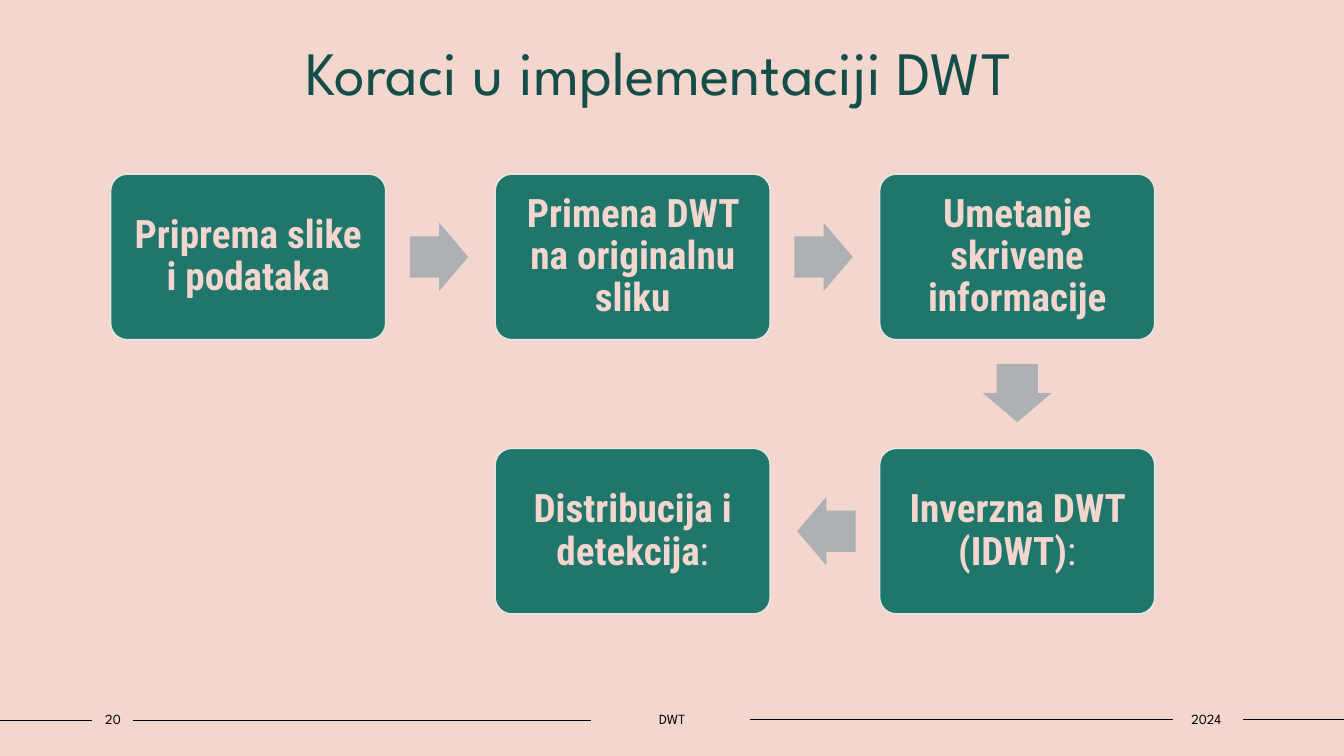
from dataclasses import dataclass

import pptx
import pptx.dml.color
import pptx.enum.shapes
import pptx.enum.text
import pptx.oxml
import pptx.oxml.ns
import pptx.presentation
import pptx.shapes.autoshape
import pptx.slide
import pptx.text.text
import pptx.util
from pptx.dml.color import RGBColor
from pptx.enum.shapes import MSO_CONNECTOR, MSO_SHAPE
from pptx.enum.text import MSO_ANCHOR, PP_ALIGN
from pptx.util import Cm

BLUSH = RGBColor(0xF3, 0xD6, 0xCD)
GREEN = RGBColor(0x20, 0x76, 0x6B)
DARK_GREEN = RGBColor(0x15, 0x4E, 0x48)
GREY = RGBColor(0xAD, 0xB1, 0xB3)
LIGHT_GREY = RGBColor(0xE7, 0xE6, 0xE6)
BLACK = RGBColor(0, 0, 0)

TITLE_FONT = "League Spartan"
STEP_FONT = "Roboto Condensed"

STEP_LEFT, STEP_TOP = 2.79, 4.39
STEP_WIDTH, STEP_HEIGHT = 6.93, 4.17
COLUMN_PITCH, ROW_PITCH = 9.69, 6.91
ARROW_LENGTH, ARROW_BREADTH, ARROW_GAP = 1.47, 1.73, 0.61


@dataclass(frozen=True)
class Step:
    column: int
    row: int
    text: str
    suffix: str = ""

    @property
    def left(self) -> float:
        return STEP_LEFT + self.column * COLUMN_PITCH

    @property
    def top(self) -> float:
        return STEP_TOP + self.row * ROW_PITCH


@dataclass(frozen=True)
class Label:
    text: str
    left: float
    top: float
    width: float
    height: float
    size: int
    color: RGBColor
    anchor: MSO_ANCHOR
    side_margin: float


@dataclass(frozen=True)
class Rule:
    start: float
    end: float
    y: float


STEPS = [
    Step(0, 0, "Priprema slike i podataka"),
    Step(1, 0, "Primena DWT na originalnu sliku"),
    Step(2, 0, "Umetanje skrivene informacije"),
    Step(2, 1, "Inverzna DWT (IDWT)", ":"),
    Step(1, 1, "Distribucija i detekcija", ":"),
]

FOOTER_RULES = [
    Rule(0, 2.33, 18.15),
    Rule(3.35, 14.9, 18.15),
    Rule(18.9, 29.57, 18.13),
    Rule(31.32, 33.87, 18.13),
]

LABELS = [
    Label("Koraci u implementaciji DWT", 2.84, 0.74, 27.53, 2.82, 44,
          DARK_GREEN, MSO_ANCHOR.TOP, 0.25),
] + [
    Label(text, left, 17.78, width, 0.69, 10, BLACK, MSO_ANCHOR.MIDDLE, 0)
    for text, left, width in [
        ("20", 2.34, 1.02), ("DWT", 14.91, 4.06), ("2024", 29.51, 1.78)]
]


def apply_format(target: object, values: dict[str, object]) -> None:
    for name, value in values.items():
        setattr(target, name, value)


def add_run(paragraph: pptx.text.text._Paragraph, text: str, font: str,
            size: int, color: RGBColor, bold: bool = False) -> None:
    run = paragraph.add_run()
    run.text = text
    apply_format(run.font, {"name": font, "size": pptx.util.Pt(size), "bold": bold})
    run.font.color.rgb = color


def add_label(slide: pptx.slide.Slide, label: Label) -> None:
    box = slide.shapes.add_textbox(
        Cm(label.left), Cm(label.top), Cm(label.width), Cm(label.height))
    apply_format(box.text_frame, {
        "word_wrap": True,
        "vertical_anchor": label.anchor,
        "margin_left": Cm(label.side_margin),
        "margin_right": Cm(label.side_margin),
    })
    paragraph = box.text_frame.paragraphs[0]
    paragraph.alignment = PP_ALIGN.CENTER
    add_run(paragraph, label.text, TITLE_FONT, label.size, label.color)


def add_rule(slide: pptx.slide.Slide, rule: Rule) -> None:
    connector = slide.shapes.add_connector(
        MSO_CONNECTOR.STRAIGHT, Cm(rule.start), Cm(rule.y), Cm(rule.end), Cm(rule.y))
    connector.line.color.rgb = BLACK
    connector.line.width = pptx.util.Pt(1)
    properties = connector._element.spPr
    properties.append(pptx.oxml.parse_xml(
        f'<a:effectLst {pptx.oxml.ns.nsdecls("a")}/>'))


def add_filled_shape(slide: pptx.slide.Slide, kind: MSO_SHAPE, left: float,
                     top: float, width: float, height: float,
                     fill: RGBColor) -> pptx.shapes.autoshape.Shape:
    shape = slide.shapes.add_shape(kind, Cm(left), Cm(top), Cm(width), Cm(height))
    shape.shadow.inherit = False
    shape.fill.solid()
    shape.fill.fore_color.rgb = fill
    return shape


def add_step(slide: pptx.slide.Slide, step: Step) -> None:
    shape = add_filled_shape(slide, MSO_SHAPE.ROUNDED_RECTANGLE, step.left, step.top,
                             STEP_WIDTH, STEP_HEIGHT, GREEN)
    shape.adjustments[0] = 0.1
    shape.line.color.rgb = LIGHT_GREY
    shape.line.width = pptx.util.Pt(1)
    margins = {f"margin_{side}": Cm(0.3) for side in ("left", "right", "top", "bottom")}
    apply_format(shape.text_frame, {
        "word_wrap": True, "vertical_anchor": MSO_ANCHOR.MIDDLE, **margins})
    paragraph = shape.text_frame.paragraphs[0]
    apply_format(paragraph, {"alignment": PP_ALIGN.CENTER, "line_spacing": 0.9})
    add_run(paragraph, step.text, STEP_FONT, 28, BLUSH, True)
    if step.suffix:
        add_run(paragraph, step.suffix, STEP_FONT, 28, BLUSH)


def add_arrow(slide: pptx.slide.Slide, source: Step, target: Step) -> None:
    across = target.column - source.column
    down = target.row - source.row
    reach = ARROW_GAP + ARROW_LENGTH / 2
    center_x = source.left + STEP_WIDTH / 2 + across * (STEP_WIDTH / 2 + reach)
    center_y = source.top + STEP_HEIGHT / 2 + down * (STEP_HEIGHT / 2 + reach)
    arrow = add_filled_shape(
        slide, MSO_SHAPE.RIGHT_ARROW, center_x - ARROW_LENGTH / 2,
        center_y - ARROW_BREADTH / 2, ARROW_LENGTH, ARROW_BREADTH, GREY)
    arrow.adjustments[0] = 0.6
    arrow.adjustments[1] = 0.5
    arrow.rotation = {(1, 0): 0, (0, 1): 90, (-1, 0): 180}[across, down]
    arrow.line.fill.background()


def main() -> None:
    presentation = pptx.Presentation()
    apply_format(presentation, {"slide_width": Cm(33.87), "slide_height": Cm(19.05)})
    slide = presentation.slides.add_slide(presentation.slide_layouts[6])
    slide.background.fill.solid()
    slide.background.fill.fore_color.rgb = BLUSH
    for rule in FOOTER_RULES:
        add_rule(slide, rule)
    for label in LABELS:
        add_label(slide, label)
    for step in STEPS:
        add_step(slide, step)
    for source, target in zip(STEPS, STEPS[1:]):
        add_arrow(slide, source, target)
    presentation.save("out.pptx")


if __name__ == "__main__":
    main()
